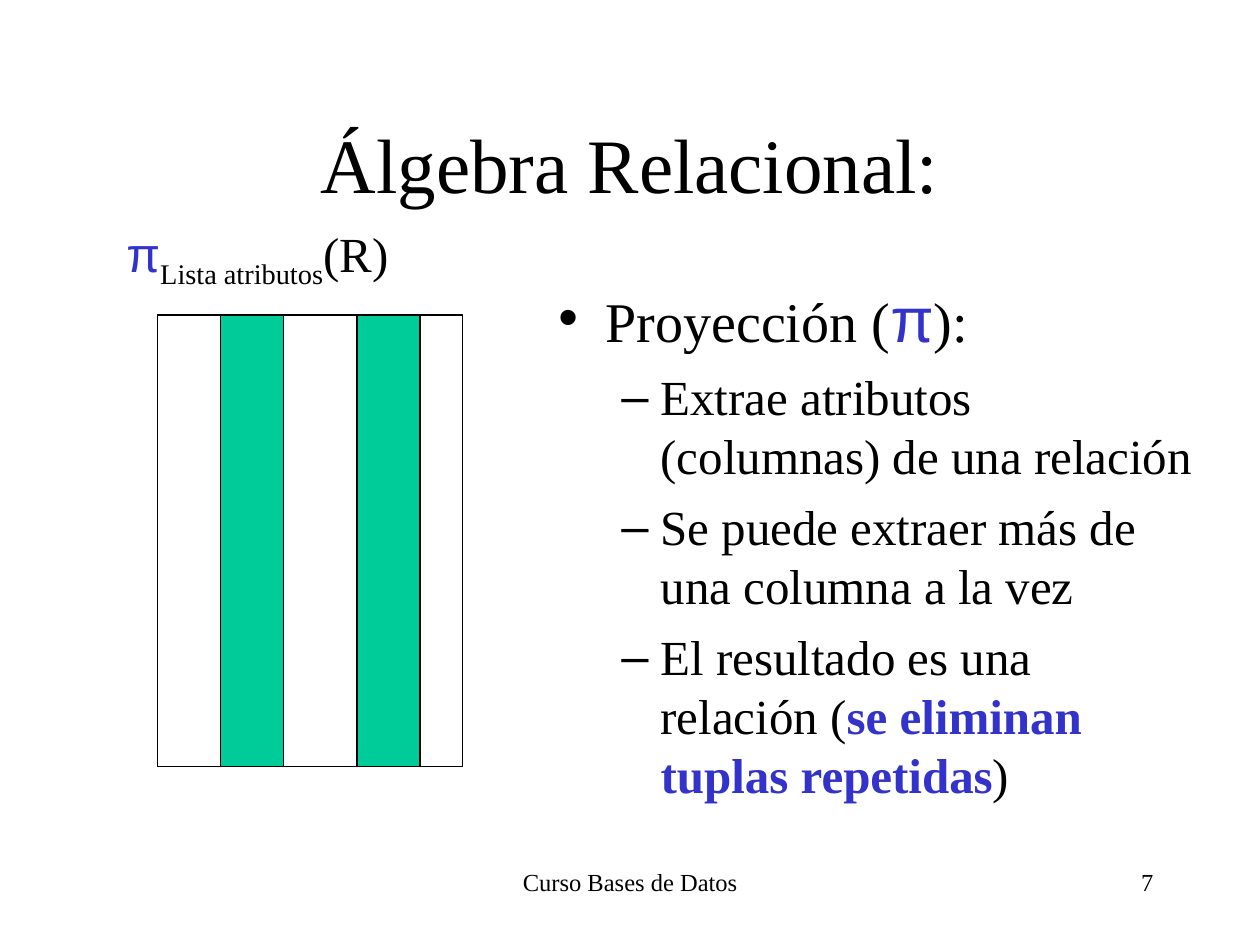
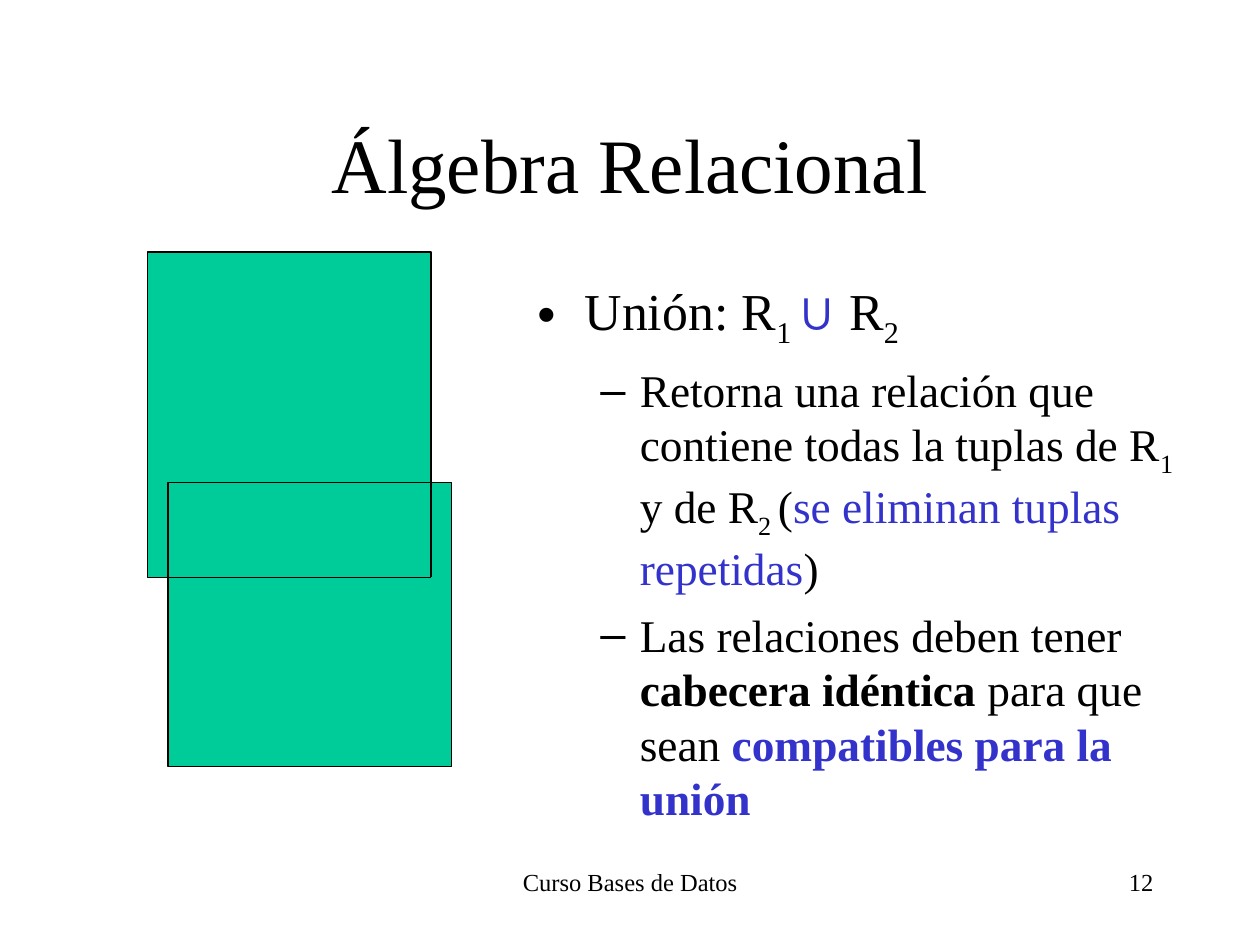
from pptx import Presentation
from pptx.dml.color import RGBColor
from pptx.enum.shapes import MSO_CONNECTOR, MSO_SHAPE
from pptx.enum.text import MSO_ANCHOR, MSO_AUTO_SIZE, PP_ALIGN
from pptx.oxml.ns import qn
from pptx.util import Cm, Pt

BLACK = RGBColor(0x00, 0x00, 0x00)
BLUE = RGBColor(0x33, 0x33, 0xCC)
GREEN = RGBColor(0x00, 0xCC, 0x99)
SERIF, SANS = "Times New Roman", "Arial"
COURSE = "Curso Bases de Datos"
LINE_WIDTH = Pt(0.75)

# Run styles
PLAIN = {}
ACCENT = {"color": BLUE}
BOLD = {"bold": True}
BOLD_ACCENT = {"color": BLUE, "bold": True}
SYMBOL = {"color": BLUE, "font": SANS}
SUB = {"subscript": True}


def add_run(paragraph, text, size, color=BLACK, font=SERIF, bold=False, subscript=False):
    run = paragraph.add_run()
    run.text = text
    run.font.size = Pt(size)
    run.font.name = font
    run.font.color.rgb = color
    run.font.bold = bold
    if subscript:
        run.font._element.set("baseline", "-25000")


def place(shape, left, top, width, height):
    shape.left, shape.top = Cm(left), Cm(top)
    shape.width, shape.height = Cm(width), Cm(height)


def add_label(slide, box, runs, size, align=PP_ALIGN.LEFT):
    frame = slide.shapes.add_textbox(*map(Cm, box)).text_frame
    frame.word_wrap = True
    paragraph = frame.paragraphs[0]
    paragraph.alignment = align
    for text, style in runs:
        add_run(paragraph, text, size, **style)


def add_relation(slide, box, fill=None):
    """Draw a relation, or a part of one, as an outlined rectangle."""
    relation = slide.shapes.add_shape(MSO_SHAPE.RECTANGLE, *map(Cm, box))
    relation.shadow.inherit = False
    relation.line.color.rgb = BLACK
    relation.line.width = LINE_WIDTH
    if fill is None:
        relation.fill.background()
    else:
        relation.fill.solid()
        relation.fill.fore_color.rgb = fill


def add_edge(slide, *ends):
    edge = slide.shapes.add_connector(MSO_CONNECTOR.STRAIGHT, *map(Cm, ends))
    edge.line.color.rgb = BLACK
    edge.line.width = LINE_WIDTH
    properties = edge._element.spPr
    properties.append(properties.makeelement(qn("a:effectLst"), {}))


def add_course_slide(prs, title, number):
    """Add a slide with the title, the course footer and the slide number."""
    slide = prs.slides.add_slide(prs.slide_layouts[1])
    heading = slide.shapes.title
    place(heading, 1.9, 1.68, 21.6, 3.18)
    heading.text_frame.vertical_anchor = MSO_ANCHOR.MIDDLE
    heading.text_frame.auto_size = MSO_AUTO_SIZE.NONE
    paragraph = heading.text_frame.paragraphs[0]
    paragraph.alignment = PP_ALIGN.CENTER
    add_run(paragraph, title, 44)
    add_label(slide, (8.68, 17.35, 8.05, 1.27), [(COURSE, PLAIN)], 14, PP_ALIGN.CENTER)
    add_label(slide, (18.2, 17.35, 5.3, 1.27), [(number, PLAIN)], 14, PP_ALIGN.RIGHT)
    return slide


def fill_explanation(slide, box, operator, details, sizes):
    """Write the operator as first-level bullet and its details below it."""
    body = slide.placeholders[1]
    place(body, *box)
    frame = body.text_frame
    frame.auto_size = MSO_AUTO_SIZE.NONE
    for index, runs in enumerate([operator, *details]):
        paragraph = frame.add_paragraph() if index else frame.paragraphs[0]
        paragraph.level = level = min(index, 1)
        paragraph.space_before = Pt(8 - level)
        for text, style in runs:
            add_run(paragraph, text, **{"size": sizes[level], **style})


def draw_projection(slide, left, top, width, height):
    add_relation(slide, (left, top, width, height))
    for column_offset in (1.27, 4.02):
        add_relation(slide, (left + column_offset, top, 1.27, height), GREEN)


def draw_union(slide, left, top, width, height):
    """Draw two overlapping relations with the hidden edges of the first."""
    shift = 0.42
    side = width - shift
    first_height = 6.56
    second_left, second_top = left + shift, top + height - side
    first_right, first_bottom = left + side, top + first_height
    add_relation(slide, (left, top, side, first_height), GREEN)
    add_relation(slide, (second_left, second_top, side, side), GREEN)
    add_edge(slide, second_left, first_bottom, first_right, first_bottom)
    add_edge(slide, first_right, second_top, first_right, first_bottom)


def build_projection(prs):
    slide = add_course_slide(prs, "Álgebra Relacional:", "7")
    fill_explanation(
        slide, (11, 5.5, 13.35, 12.22),
        [("Proyección (", PLAIN), ("π", {**SYMBOL, "size": 36}), ("):", PLAIN)],
        [
            [("Extrae atributos (columnas) de una relación", PLAIN)],
            [("Se puede extraer más de una columna a la vez", PLAIN)],
            [("El resultado es una relación (", PLAIN),
             ("se eliminan tuplas repetidas", BOLD_ACCENT), (")", PLAIN)],
        ],
        (32, 28))
    draw_projection(slide, 3.18, 6.35, 6.15, 9.1)
    add_label(slide, (2.3, 4.38, 7.9, 1.6),
              [("π", SYMBOL), ("Lista atributos", SUB), ("(R)", PLAIN)], 28)


def build_union(prs):
    slide = add_course_slide(prs, "Álgebra Relacional", "12")
    fill_explanation(
        slide, (10.58, 5.5, 13.72, 11.43),
        [("Unión: R", PLAIN), ("1 ", SUB), ("∪", SYMBOL), (" R", PLAIN), ("2", SUB)],
        [
            [("Retorna una relación que contiene todas la tuplas de R", PLAIN),
             ("1", SUB), (" y de R", PLAIN), ("2 ", SUB), ("(", PLAIN),
             ("se eliminan tuplas repetidas", ACCENT), (")", PLAIN)],
            [("Las relaciones deben tener ", PLAIN), ("cabecera idéntica", BOLD),
             (" para que sean ", PLAIN), ("compatibles para la unión", BOLD_ACCENT)],
        ],
        (29.6, 25.9))
    draw_union(slide, 2.97, 5.08, 6.14, 10.37)


def main():
    prs = Presentation()
    prs.slide_width, prs.slide_height = Cm(25.4), Cm(19.05)
    build_projection(prs)
    build_union(prs)
    prs.save("out.pptx")


if __name__ == "__main__":
    main()
